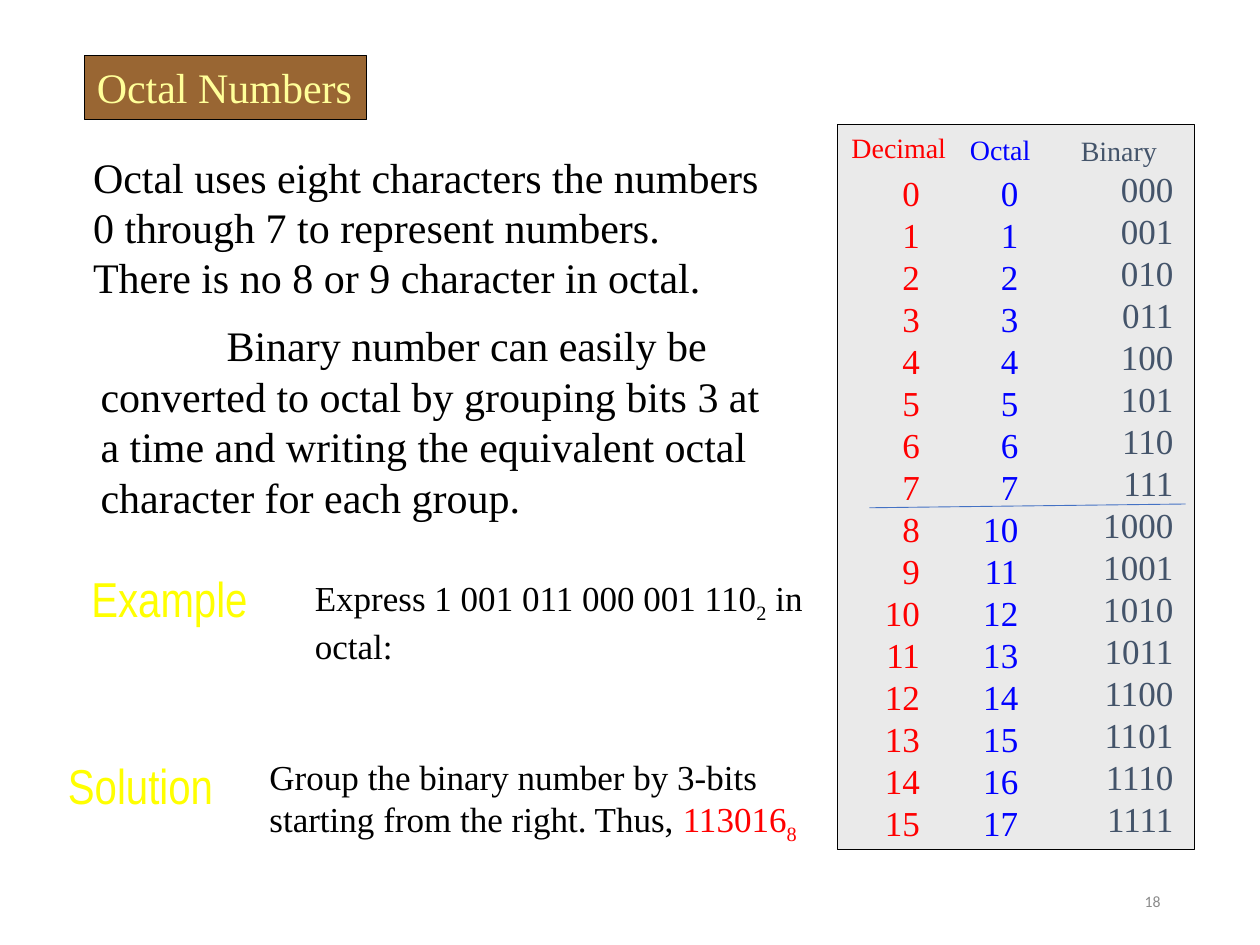
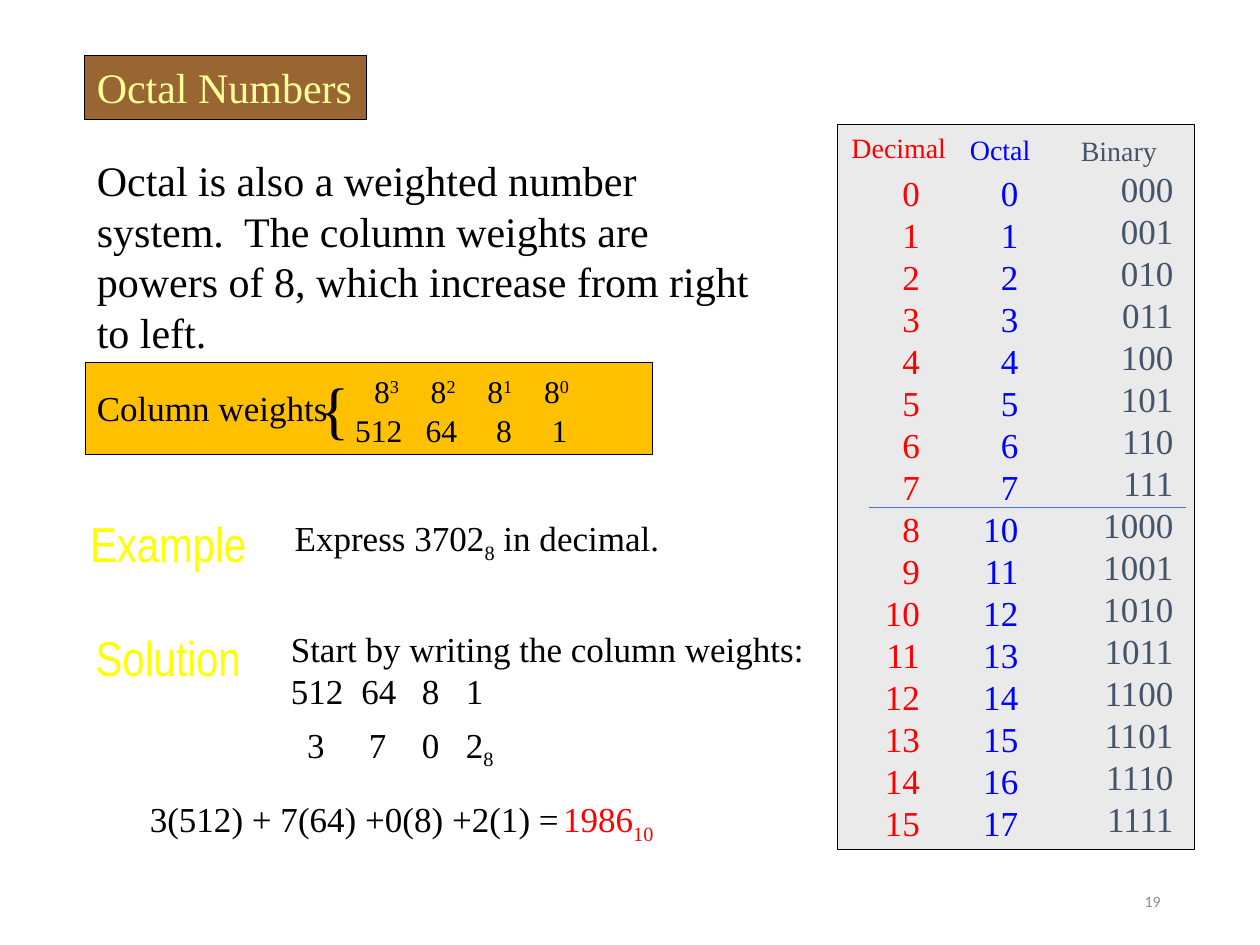
"""Build two slides on octal numbers beside a decimal, octal and binary chart."""
from dataclasses import dataclass

from lxml import etree
from pptx import Presentation
from pptx import util as u
from pptx.dml.color import RGBColor
from pptx.enum import shapes, text
from pptx.oxml.ns import qn

COLUMNS, ROWS = 100, 75
CELL = u.Inches(10) // COLUMNS


@dataclass(frozen=True)
class Theme:
    """Colours, typefaces and type sizes of the slides."""
    ink: str = "000000"
    title_fill: str = "996633"
    title_ink: str = "FFFF99"
    label: str = "FFFF00"
    panel: str = "EAEAEA"
    weights: str = "FFC000"
    decimal: str = "FF0000"
    octal: str = "0000FF"
    binary: str = "44546A"
    answer: str = "FF0000"
    divider: str = "4472C4"
    footer: str = "8C8C8C"
    serif: str = "Times New Roman"
    narrow: str = "Arial Narrow"
    sans: str = "Calibri"
    brace_size: int = 36
    label_size: int = 28
    body_size: int = 24
    task_size: int = 20
    weight_size: int = 18
    heading_size: int = 16
    footer_size: int = 9


THEME = Theme()
LEFT, CENTER, RIGHT = text.PP_ALIGN.LEFT, text.PP_ALIGN.CENTER, text.PP_ALIGN.RIGHT
SUBSCRIPT, SUPERSCRIPT = -25, 30


@dataclass(frozen=True)
class Area:
    """A rectangle in grid columns and rows."""
    column: float
    row: float
    width: float
    height: float

    def lengths(self) -> list[int]:
        """Return left, top, width and height in slide units."""
        return [round(n * CELL) for n in (self.column, self.row, self.width, self.height)]


@dataclass(frozen=True)
class Span:
    """A run of text with its own colour or baseline shift in percent."""
    words: str
    color: str = ""
    shift: int = 0


@dataclass(frozen=True)
class Block:
    """Paragraphs of spans in one area, with side inset and tab stops in grid columns."""
    area: Area
    paragraphs: tuple[tuple[Span, ...], ...]
    size: int = THEME.task_size
    color: str = THEME.ink
    font: str = THEME.serif
    align: text.PP_ALIGN = LEFT
    anchor: text.MSO_ANCHOR = text.MSO_ANCHOR.TOP
    wrap: bool = True
    inset: float = 1
    tabs: tuple[float, ...] = ()


@dataclass(frozen=True)
class NumberColumn:
    """One numeral system: heading, places, colour and number format."""
    heading: str
    heading_area: Area
    area: Area
    color: str
    pattern: str


NUMBER_COLUMNS = (
    NumberColumn("Decimal", Area(66.6, 9.9, 15, 3.7), Area(69, 13.1, 5, 54.3), THEME.decimal, "d"),
    NumberColumn("Octal", Area(76, 10, 15, 3.7), Area(76.8, 13.1, 5, 54.3), THEME.octal, "o"),
    NumberColumn("Binary", Area(84.8, 10.1, 10, 3.7), Area(84.9, 12.8, 9.2, 54.3),
                 THEME.binary, "03b"),
)


def line(*spans: str | Span) -> tuple[Span, ...]:
    """Make one paragraph from plain words and spans."""
    return tuple(Span(s) if isinstance(s, str) else s for s in spans)


def sub(words: str, color: str = "") -> Span:
    """Make a subscript span."""
    return Span(words, color, SUBSCRIPT)


def label(words: str, column: float, row: float) -> Block:
    """Make a large yellow section label on a single line."""
    return Block(Area(column, row, 13.3, 4.6), (line(words),), THEME.label_size,
                 THEME.label, THEME.narrow, CENTER, wrap=False, inset=0)


def write(shape, block: Block) -> None:
    """Fill a shape with the text of a block."""
    frame = shape.text_frame
    frame.word_wrap = block.wrap
    frame.vertical_anchor = block.anchor
    frame.margin_left = frame.margin_right = round(block.inset * CELL)
    for index, spans in enumerate(block.paragraphs):
        paragraph = frame.add_paragraph() if index else frame.paragraphs[0]
        paragraph.alignment = block.align
        if block.tabs:
            stops = etree.SubElement(paragraph._p.get_or_add_pPr(), qn("a:tabLst"))
            for stop in block.tabs:
                etree.SubElement(stops, qn("a:tab"), pos=str(round(stop * CELL)), algn="l")
        for span in spans:
            run = paragraph.add_run()
            run.text = span.words
            run.font.size = u.Pt(block.size)
            run.font.name = block.font
            run.font.color.rgb = RGBColor.from_string(span.color or block.color)
            if span.shift:
                run._r.get_or_add_rPr().set("baseline", str(span.shift * 1000))


def add_text(slide, block: Block) -> None:
    """Add a text box for a block."""
    write(slide.shapes.add_textbox(*block.area.lengths()), block)


def add_panel(slide, area: Area, fill: str):
    """Add a filled rectangle with a thin dark outline."""
    shape = slide.shapes.add_shape(shapes.MSO_SHAPE.RECTANGLE, *area.lengths())
    shape.shadow.inherit = False
    shape.fill.solid()
    shape.fill.fore_color.rgb = RGBColor.from_string(fill)
    shape.line.color.rgb = RGBColor.from_string(THEME.ink)
    shape.line.width = u.Pt(0.75)
    return shape


def add_number_chart(slide, divider_end: float) -> None:
    """Add the panel of numbers from 0 to 15 and its divider."""
    add_panel(slide, Area(66.5, 9.9, 28.3, 57.5), THEME.panel)
    for column in NUMBER_COLUMNS:
        numbers = " ".join(format(n, column.pattern) for n in range(16))
        add_text(slide, Block(column.heading_area, (line(column.heading),),
                              THEME.heading_size, column.color))
        add_text(slide, Block(column.area, (line(numbers),), color=column.color, align=RIGHT))
    ends = [round(n * CELL) for n in (69, 40.3, 94.1, divider_end)]
    divider = slide.shapes.add_connector(shapes.MSO_CONNECTOR.STRAIGHT, *ends)
    divider.line.color.rgb = RGBColor.from_string(THEME.divider)
    divider.line.width = u.Pt(0.5)
    etree.SubElement(divider._element.spPr, qn("a:effectLst"))


def add_slide(presentation, number: int, divider_end: float):
    """Add a slide with title, number chart and page number."""
    slide = presentation.slides.add_slide(presentation.slide_layouts[6])
    title = Block(Area(6.7, 4.4, 22.4, 5.1), (line("Octal Numbers"),),
                  THEME.body_size, THEME.title_ink, wrap=False)
    write(add_panel(slide, title.area, THEME.title_fill), title)
    add_number_chart(slide, divider_end)
    add_text(slide, Block(Area(70.6, 69.5, 22.5, 4), (line(str(number)),), THEME.footer_size,
                          THEME.footer, THEME.sans, RIGHT, text.MSO_ANCHOR.MIDDLE))
    return slide


def add_grouping_slide(presentation) -> None:
    """Add the slide on grouping bits into octal characters."""
    slide = add_slide(presentation, 18, 40)
    blocks = (
        Block(Area(6.4, 11.5, 55, 13), (line(
            "Octal uses eight characters the numbers 0 through 7 to represent numbers. "
            "There is no 8 or 9 character in octal."),), THEME.body_size),
        Block(Area(7, 24.9, 55, 17), (line(
            "\tBinary number can easily be converted to octal by grouping bits 3 at a time "
            "and writing the equivalent octal character for each group."),),
            THEME.body_size, tabs=(10,)),
        label("Example", 6.8, 44.6),
        Block(Area(24, 45.3, 42.5, 7.7), (
            line("Express 1 001 011 000 001 110", sub("2"), " in octal:"),)),
        label("Solution", 4.5, 59.5),
        Block(Area(20.4, 59.5, 44.2, 7.7), (line(
            "Group the binary number by 3-bits starting from the right. Thus, ",
            Span("113016", THEME.answer), sub("8", THEME.answer)),)),
    )
    for block in blocks:
        add_text(slide, block)


def add_weights_slide(presentation) -> None:
    """Add the slide on column weights as powers of eight."""
    slide = add_slide(presentation, 19, 40.3)
    powers = [span for power in (3, 2, 1, 0)
              for span in ("8" if power == 3 else "\t8", Span(str(power), shift=SUPERSCRIPT))]
    add_panel(slide, Area(6.8, 28.8, 45, 7.3), THEME.weights)
    blocks = (
        Block(Area(6.7, 11.8, 54.2, 17), (line(
            "Octal is also a weighted number system.  The column weights are powers of 8, "
            "which increase from right to left."),), THEME.body_size),
        Block(Area(6.7, 30.2, 23.3, 4.3), (line("Column weights"),)),
        Block(Area(24.4, 28.8, 3.3, 7), (line("{"),), THEME.brace_size),
        Block(Area(28.7, 29, 19.2, 4), (line(*powers),), THEME.weight_size, tabs=(4.5, 9, 13.5)),
        Block(Area(27.2, 32.1, 20, 4), (line("512\t64\t8\t1"),), THEME.weight_size,
              tabs=(5.6, 11.2, 15.6)),
        label("Example", 6.7, 40.3),
        Block(Area(22.4, 40.5, 42.5, 4.3), (line("Express 3702", sub("8"), " in decimal."),)),
        label("Solution", 6.7, 49.3),
        Block(Area(22.1, 49.3, 43.3, 7.7), (
            line("Start by writing the column weights:"), line("512\t64\t8\t1")),
            tabs=(5.6, 10.4, 13.9)),
        Block(Area(23.4, 56.9, 28.3, 4.3), (line("3\t7\t0\t2", sub("8")),),
              tabs=(4.9, 9.1, 12.6)),
        Block(Area(10.9, 62.8, 52.5, 4.3), (line("3(512) + 7(64) +0(8) +2(1) ="),)),
        Block(Area(43.7, 62.8, 12.5, 4.3), (line("1986", sub("10")),), color=THEME.answer),
    )
    for block in blocks:
        add_text(slide, block)


def main() -> None:
    """Build and save the presentation."""
    presentation = Presentation()
    presentation.slide_width = COLUMNS * CELL
    presentation.slide_height = ROWS * CELL
    add_grouping_slide(presentation)
    add_weights_slide(presentation)
    presentation.save("out.pptx")


if __name__ == "__main__":
    main()
